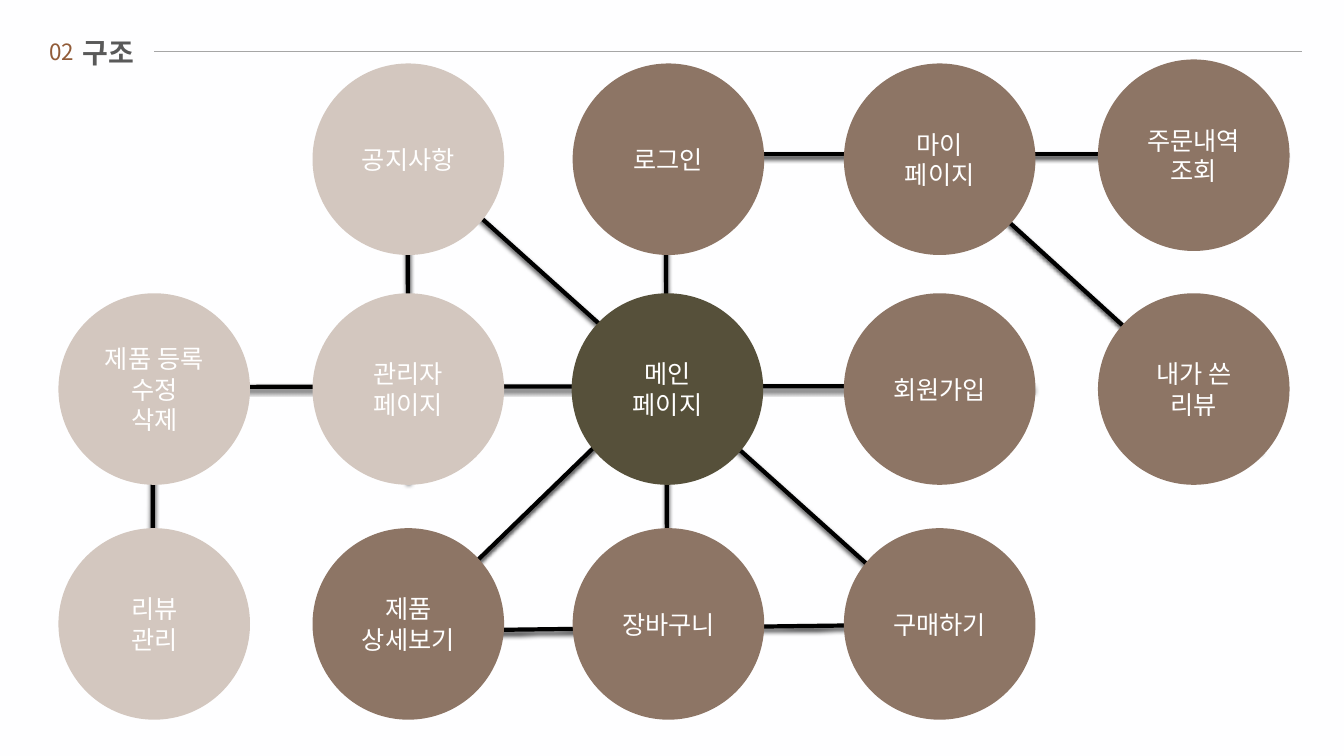
import pptx
import pptx.dml.color
import pptx.enum.shapes
import pptx.enum.text
import pptx.oxml.ns
import pptx.util
from lxml import etree

PX = 9144  # EMU per px, 100 px to the inch
COLORS = {
    "background": "FEFEFF",
    "number": "915B38",
    "title": "595959",
    "rule": "A6A6A6",
    "link": "000000",
    "main": "56503A",
    "admin": "D3C7BF",
    "user": "8D7565",
    "label": "FFFFFF",
}


def rgb(name):
    return pptx.dml.color.RGBColor.from_string(COLORS[name])


def add_xml(parent, tag, **attributes):
    return etree.SubElement(parent, pptx.oxml.ns.qn(tag), attributes)


class SiteMap:
    FONT = "Noto Sans CJK KR"
    DIAMETER = 190

    def __init__(self, slide):
        self.slide = slide
        slide.background.fill.solid()
        slide.background.fill.fore_color.rgb = rgb("background")

    def style(self, paragraph, size, color, bold=False):
        font = paragraph.font
        font.size = pptx.util.Pt(size)
        font.bold = bold
        font.color.rgb = rgb(color)
        font.name = self.FONT
        add_xml(font._element, "a:ea", typeface=self.FONT)

    def heading(self, text, left, top, width, height, size, color, bold=False):
        box = self.slide.shapes.add_textbox(
            left * PX, top * PX, width * PX, height * PX)
        frame = box.text_frame
        frame.word_wrap = True
        frame.auto_size = pptx.enum.text.MSO_AUTO_SIZE.SHAPE_TO_FIT_TEXT
        frame.text = text
        self.style(frame.paragraphs[0], size, color, bold)

    def line(self, x1, y1, x2, y2, color, weight, shadow=False):
        connector = self.slide.shapes.add_connector(
            pptx.enum.shapes.MSO_CONNECTOR.STRAIGHT,
            x1 * PX, y1 * PX, x2 * PX, y2 * PX)
        connector.line.color.rgb = rgb(color)
        connector.line.width = pptx.util.Pt(weight)
        effects = add_xml(connector._element.spPr, "a:effectLst")
        if shadow:
            outer = add_xml(
                effects, "a:outerShdw", blurRad=str(pptx.util.Pt(3)),
                dist=str(pptx.util.Pt(2)), dir="5400000", rotWithShape="0")
            shade = add_xml(outer, "a:srgbClr", val=COLORS[color])
            add_xml(shade, "a:alpha", val="75000")

    def page(self, text, left, top, color):
        circle = self.slide.shapes.add_shape(
            pptx.enum.shapes.MSO_SHAPE.OVAL, left * PX, top * PX,
            self.DIAMETER * PX, self.DIAMETER * PX)
        circle.shadow.inherit = False
        circle.fill.solid()
        circle.fill.fore_color.rgb = rgb(color)
        circle.line.fill.background()
        frame = circle.text_frame
        frame.word_wrap = True
        frame.vertical_anchor = pptx.enum.text.MSO_ANCHOR.MIDDLE
        frame.text = text
        for paragraph in frame.paragraphs:
            paragraph.alignment = pptx.enum.text.PP_ALIGN.CENTER
            self.style(paragraph, 18, "label")


# Columns and rows of the site map
COL_1, COL_2, COL_3, COL_4, COL_5 = 58, 310, 568, 837, 1089
ROW_1, ROW_2, ROW_3 = 63, 291, 524

# Links run behind the circles and may pass through several of them
LINKS = [
    (985, 672, 340, 93),
    (356, 670, 659, 376),
    (152, 302, 151, 701),
    (404, 66, 405, 478),
    (325, 627, 963, 619),
    (1250, 447, 863, 95),
    (1276, 153, 574, 153),
    (660, 71, 662, 706),
    (66, 384, 1025, 383),
]

PAGES = [
    ("메인\n페이지", COL_3 - 1, ROW_2, "main"),
    ("공지사항", COL_2, ROW_1, "admin"),
    ("제품\n상세보기", COL_2, ROW_3, "user"),
    ("회원가입", COL_4, ROW_2, "user"),
    ("마이\n페이지", COL_4, ROW_1, "user"),
    ("로그인", COL_3, ROW_1, "user"),
    ("장바구니", COL_3, ROW_3, "user"),
    ("구매하기", COL_4, ROW_3, "user"),
    ("주문내역\n조회", COL_5, ROW_1 - 4, "user"),
    ("내가 쓴 리뷰", COL_5, ROW_2, "user"),
    ("관리자\n페이지", COL_2, ROW_2, "admin"),
    ("제품 등록\n수정\n삭제", COL_1, ROW_2, "admin"),
    ("리뷰\n관리", COL_1, ROW_3, "admin"),
]


def main():
    deck = pptx.Presentation()
    deck.slide_width = 1333 * PX
    deck.slide_height = 750 * PX
    site_map = SiteMap(deck.slides.add_slide(deck.slide_layouts[6]))

    # Links between pages
    for link in LINKS:
        site_map.line(*link, "link", 3, shadow=True)

    # Heading
    site_map.heading("02", 39, 33, 56, 37, 16, "number")
    site_map.heading("구조", 72, 30, 105, 43, 20, "title", bold=True)
    site_map.line(153, 51, 1291, 51, "rule", 1)

    # Pages
    for page in PAGES:
        site_map.page(*page)

    deck.save("out.pptx")


if __name__ == "__main__":
    main()
